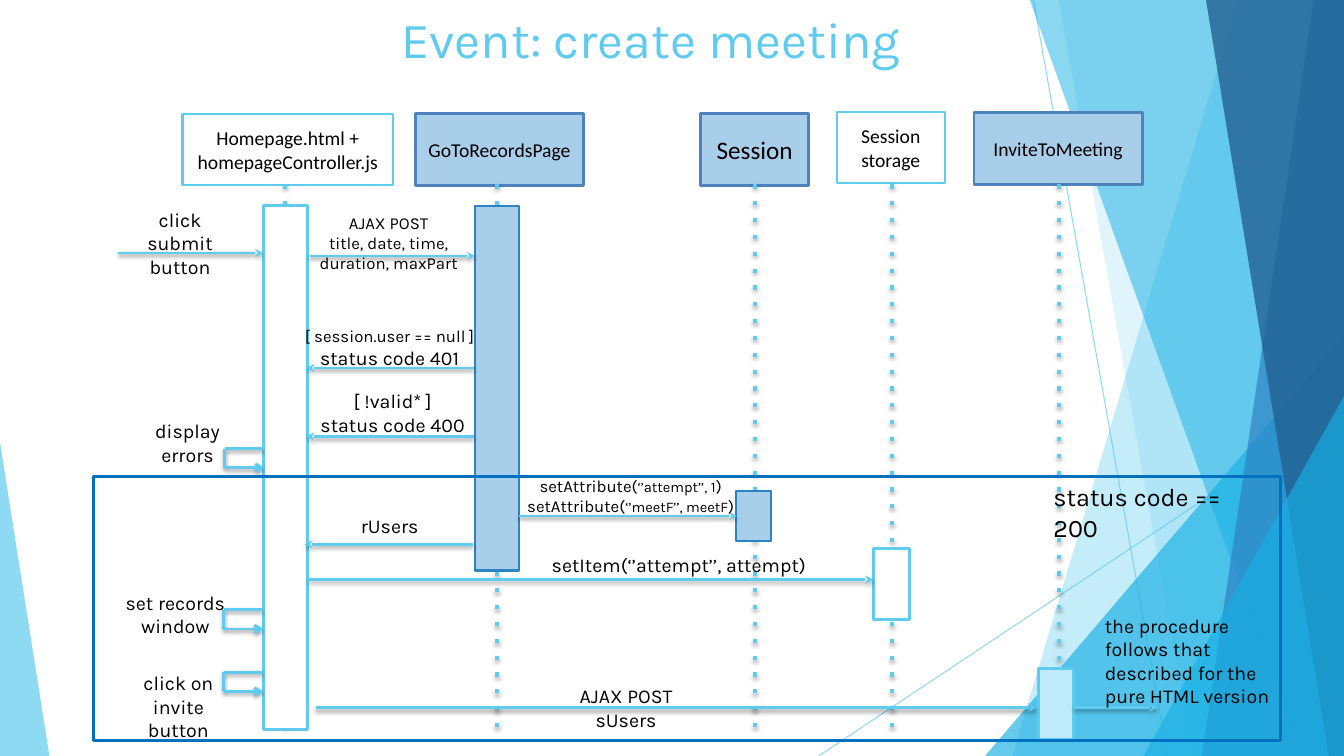
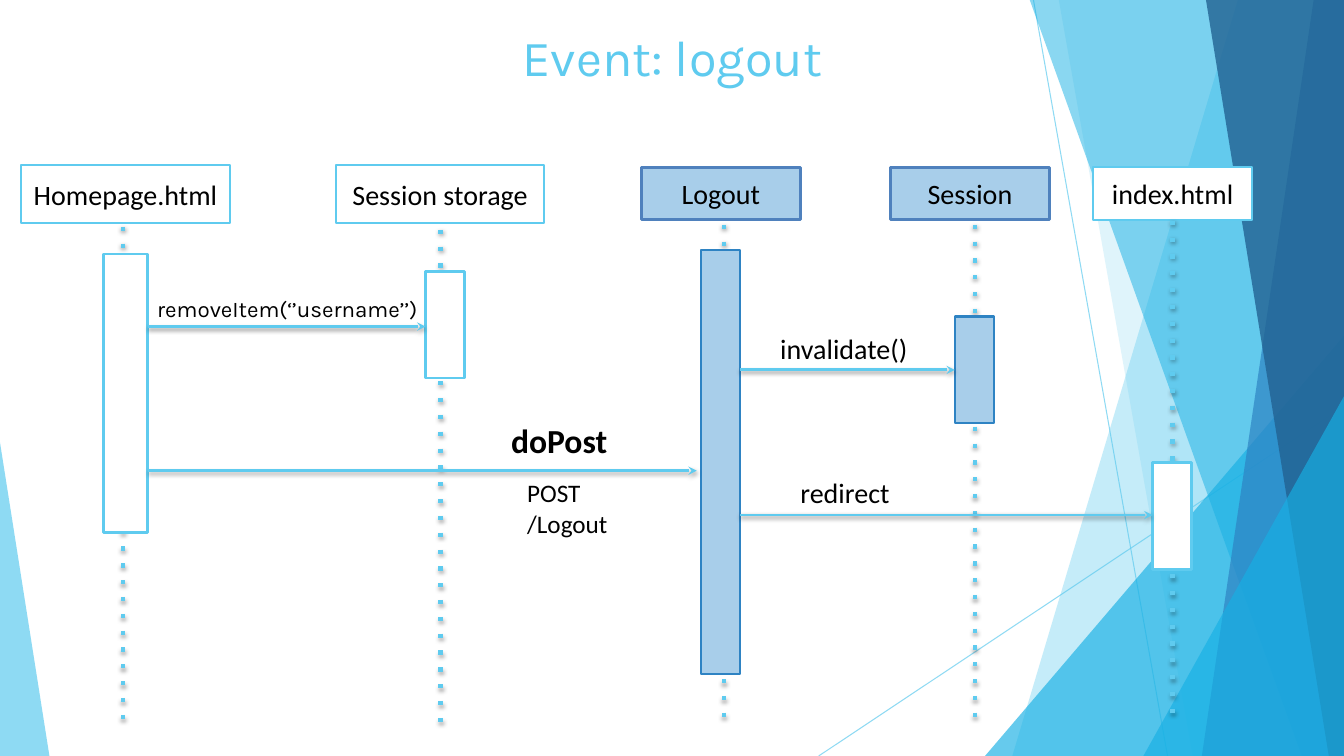
import pptx
import pptx.util
import pptx.dml.color
import pptx.enum.shapes
import pptx.enum.text
import pptx.oxml
import pptx.oxml.ns

Inches = pptx.util.Inches
Pt = pptx.util.Pt
SHAPE = pptx.enum.shapes.MSO_SHAPE
ALIGN = pptx.enum.text.PP_ALIGN

SKY, AQUA, BLUE, NAVY = "5FCBEF", "17B0E4", "2E83C3", "226292"
ICE, STEEL, PALE, FRAME = "A8CEEA", "4F81BD", "BFEAF9", "0070C0"
WHITE, BLACK = "FFFFFF", "000000"

RAYS = [((10.25, 0), (11.58, 7.5)), ((13.33, 4.03), (8.12, 7.5))]
TOP, FOOT, EDGE = -0.01, 7.5, 13.33
PANES = [
    ("band", 12.28, 10.04, SKY, 36),
    ("band", 10.5, 11.83, SKY, 20),
    ("wedge", (9.77, 3.33, 3.56, 4.17), 1, AQUA, 66),
    ("band", 10.21, 12.91, AQUA, 50),
    ("band", 13.03, 11.92, BLUE, 70),
    ("band", 11.96, 13.18, NAVY, 80),
    ("wedge", (11.34, 3.93, 1.99, 3.57), 1, AQUA, 66),
    ("wedge", (0, 4.39, 0.49, 3.11), 0, SKY, 70),
]

HEADS = {"client": (WHITE, SKY, 1.5), "server": (ICE, STEEL, 2)}
BARS = {"client": (WHITE, SKY, 2), "server": (ICE, BLUE, 1.5), "guest": (PALE, SKY, 2)}
STYLES = {
    "title": ("Karla", 36, ALIGN.CENTER, SKY, False),
    "call": ("Karla", 14, ALIGN.CENTER, BLACK, False),
    "small": ("Karla", 12, ALIGN.CENTER, BLACK, False),
    "note": ("Karla", 14, ALIGN.LEFT, BLACK, False),
    "guard": ("Karla", 18, ALIGN.LEFT, BLACK, False),
    "item": ("Karla", 16, ALIGN.LEFT, BLACK, False),
    "verb": ("Calibri", 24, ALIGN.LEFT, BLACK, True),
    "route": ("Calibri", 18, ALIGN.LEFT, BLACK, False),
    "reply": ("Calibri", 20, ALIGN.LEFT, BLACK, False),
}

MEETING = {
    "title": ("Event: create meeting", (0.79, 0.03, 11.33, 1.13)),
    "actors": [
        (["Homepage.html +", "homepageController.js"], 14, "client", (1.81, 1.13, 2.09, 0.71),
         (2.83, 1.83, 7.25), "client", (2.61, 2.04, 0.44, 5.2)),
        (["GoToRecordsPage"], 14, "server", (4.12, 1.13, 1.67, 0.71),
         (4.93, 1.83, 7.25), "server", (4.71, 2.04, 0.44, 3.62)),
        (["Session"], 18, "server", (6.95, 1.13, 1.07, 0.71),
         (7.49, 1.83, 7.24), "server", (7.3, 4.87, 0.35, 0.5)),
        (["Session storage"], 14, "client", (8.3, 1.11, 1.07, 0.71),
         (8.85, 1.83, 7.24), "client", (8.66, 5.44, 0.36, 0.71)),
        (["InviteToMeeting"], 14, "server", (9.66, 1.12, 1.67, 0.71),
         (10.5, 1.83, 7.25), "guest", (10.3, 6.63, 0.35, 0.71)),
    ],
    "calls": [
        (1.17, 2.61, 2.51), (3.07, 4.71, 2.54), (4.7, 3.04, 3.65), (4.7, 3.04, 4.33),
        (5.15, 7.31, 5.12), (4.69, 3.02, 5.4), (3.06, 8.66, 5.75),
        (3.13, 10.28, 7.02), (10.65, 11.48, 7.02),
    ],
    "loops": [(2.62, 4.45), (2.61, 6.05), (2.61, 6.67)],
    "frames": [(0.93, 4.73, 11.77, 2.62)],
    "labels": [
        (["click submit button"], "call", (1.14, 2.01, 1.29, 0.57)),
        (["AJAX POST", "title, date, time, duration, maxPart"], "small", (2.98, 2.06, 1.75, 0.71)),
        (["[ !valid* ]", "status code 400"], "call", (2.74, 3.81, 2.31, 0.57)),
        ([[("[ session.user == null ]", 12)], "status code 401"], "call", (2.77, 3.18, 2.19, 0.54)),
        (["display", "errors"], "call", (1.35, 4.11, 1.02, 0.57)),
        ([[("setAttribute(", 12), ("‘’attempt’’, 1", 10.5), (")", 12)],
          [("setAttribute(", 12), ("‘’meetF’’, meetF", 10.5), (")", 12)]],
         "small", (4.49, 4.67, 3.53, 0.5)),
        (["rUsers"], "call", (3.44, 5.05, 0.85, 0.34)),
        (["setItem(‘’attempt’’, attempt)"], "call", (5.32, 5.44, 2.83, 0.34)),
        (["set records window"], "call", (1.13, 5.81, 1.22, 0.57)),
        (["click on invite button"], "call", (1.1, 6.61, 1.34, 0.57)),
        (["AJAX POST", "sUsers"], "call", (5.35, 6.74, 1.72, 0.57)),
        (["the procedure follows that described for the pure HTML version"], "note",
         (10.86, 6.04, 1.84, 1.04)),
        (["status code == 200"], "guard", (10.35, 4.73, 2.31, 0.4)),
    ],
}

LOGOUT = {
    "title": ("Event: logout", (0.92, 0.21, 11.5, 1.45)),
    "actors": [
        (["Homepage.html"], 20, "client", (0.21, 1.64, 2.07, 0.57),
         (1.22, 2.25, 7.24), "client", (1.03, 2.52, 0.43, 2.76)),
        (["Session storage"], 20, "client", (3.33, 1.64, 2.07, 0.57),
         (4.37, 2.28, 7.27), "client", (4.22, 2.69, 0.39, 1.06)),
        (["Logout"], 20, "server", (6.36, 1.66, 1.58, 0.52),
         (7.18, 2.23, 7.22), "server", (6.95, 2.48, 0.39, 4.21)),
        (["Session"], 20, "server", (8.83, 1.66, 1.58, 0.52),
         (9.67, 2.23, 7.22), "server", (9.47, 3.14, 0.39, 1.06)),
        (["index.html"], 20, "client", (10.84, 1.66, 1.58, 0.52),
         (11.63, 2.19, 7.18), "client", (11.43, 4.59, 0.39, 1.06)),
    ],
    "calls": [(1.47, 4.22, 3.24), (1.47, 6.91, 4.67), (7.34, 9.47, 3.67), (7.34, 11.43, 5.11)],
    "loops": [],
    "frames": [],
    "labels": [
        (["removeItem(‘’username’’)"], "item", (1.46, 2.88, 3.28, 0.37)),
        (["doPost"], "verb", (4.97, 4.12, 1.41, 0.5)),
        (["POST", "/Logout"], "route", (5.13, 4.69, 2.35, 0.71)),
        (["invalidate()"], "reply", (7.64, 3.24, 1.56, 0.44)),
        (["redirect"], "reply", (7.84, 4.67, 1.56, 0.44)),
    ],
}


def rgb(code):
    return pptx.dml.color.RGBColor.from_string(code)


def node(tag, body=""):
    space = pptx.oxml.ns.nsdecls("a")
    name = tag.split()[0]
    return pptx.oxml.parse_xml(f"<a:{tag} {space}>{body}</a:{name}>")


def fade(part, alpha):
    for tint in part.element.spPr.iter(pptx.oxml.ns.qn("a:srgbClr")):
        tint.append(node(f'alpha val="{alpha * 1000}"'))


def paint(shape, fill, edge=None, width=0):
    shape.shadow.inherit = False
    if fill:
        shape.fill.solid()
        shape.fill.fore_color.rgb = rgb(fill)
    else:
        shape.fill.background()
    if edge:
        shape.line.color.rgb = rgb(edge)
        shape.line.width = Pt(width)
    else:
        shape.line.fill.background()
    return shape


def block(slide, box, fill, edge=None, width=0, kind=SHAPE.RECTANGLE):
    shape = slide.shapes.add_shape(kind, *map(Inches, box))
    return paint(shape, fill, edge, width)


def wire(slide, start, end, width=2, dash=None, tail=None, glow=True):
    kind = pptx.enum.shapes.MSO_CONNECTOR.STRAIGHT
    line = slide.shapes.add_connector(kind, *map(Inches, start + end))
    line.line.color.rgb = rgb(SKY)
    line.line.width = Pt(width)
    props = line.element.spPr
    stroke = props.find(pptx.oxml.ns.qn("a:ln"))
    if dash:
        stroke.append(node(f'prstDash val="{dash}"'))
    if tail:
        stroke.append(node(f'tailEnd type="{tail}"'))
    shade = (f'<a:outerShdw blurRad="{Pt(3.1)}" dist="{Pt(1.6)}" dir="5400000" rotWithShape="0">'
             '<a:srgbClr val="000000"><a:alpha val="38000"/></a:srgbClr></a:outerShdw>')
    props.append(node("effectLst", shade if glow else ""))
    return line


def write(frame, paras, font, size, align, color, bold=False):
    frame.word_wrap = True
    for i, para in enumerate(paras):
        line = frame.paragraphs[0] if i == 0 else frame.add_paragraph()
        line.alignment = align
        line.font.name = font
        line.font.size = Pt(size)
        line.font.bold = bold
        line.font.color.rgb = rgb(color)
        if isinstance(para, str):
            line.add_run().text = para
            continue
        for text, points in para:
            run = line.add_run()
            run.text = text
            run.font.size = Pt(points)


def label(slide, paras, style, box):
    frame = slide.shapes.add_textbox(*map(Inches, box)).text_frame
    write(frame, paras, *STYLES[style])


def band(slide, high, low, color):
    spots = [(high, TOP), (EDGE, TOP), (EDGE, FOOT), (low, FOOT)]
    spots = [(Inches(x), Inches(y)) for x, y in spots]
    pen = slide.shapes.build_freeform(*spots[0])
    pen.add_line_segments(spots[1:])
    return paint(pen.convert_to_shape(), color)


def wedge(slide, box, tip, color):
    shape = block(slide, box, color, kind=SHAPE.ISOSCELES_TRIANGLE)
    shape.adjustments[0] = tip
    return shape


def backdrop(slide, layout):
    parts = []
    for start, end in RAYS:
        ray = wire(slide, start, end, 0.75, glow=False)
        fade(ray, 70)
        parts.append(ray)
    for kind, place, turn, color, alpha in PANES:
        draw = band if kind == "band" else wedge
        pane = draw(slide, place, turn, color)
        fade(pane, alpha)
        parts.append(pane)
    for part in parts:
        layout.shapes.element.append(part.element)


def diagram(slide, plan):
    text, box = plan["title"]
    label(slide, [text], "title", box)
    for names, size, kind, head, (x, top, end), role, bar in plan["actors"]:
        shape = block(slide, head, *HEADS[kind])
        shape.text_frame.vertical_anchor = pptx.enum.text.MSO_ANCHOR.MIDDLE
        write(shape.text_frame, names, "Calibri", size, ALIGN.CENTER, BLACK)
        wire(slide, (x, top), (x, end), 3, dash="dot")
        block(slide, bar, *BARS[role])
    for start, end, y in plan["calls"]:
        wire(slide, (start, y), (end, y), tail="stealth")
    for x, y in plan["loops"]:
        left, low = x - 0.39, y + 0.19
        wire(slide, (x, y), (left, y))
        wire(slide, (left, y), (left, low))
        wire(slide, (left, low), (x, low), tail="arrow")
    for box in plan["frames"]:
        block(slide, box, None, FRAME, 2.25)
    for paras, style, box in plan["labels"]:
        label(slide, paras, style, box)


def main():
    deck = pptx.Presentation()
    deck.slide_width, deck.slide_height = Inches(13.33), Inches(7.5)
    blank = deck.slide_layouts[6]
    for i, plan in enumerate([MEETING, LOGOUT]):
        slide = deck.slides.add_slide(blank)
        if i == 0:
            backdrop(slide, blank)
        diagram(slide, plan)
    deck.save("out.pptx")


if __name__ == "__main__":
    main()
